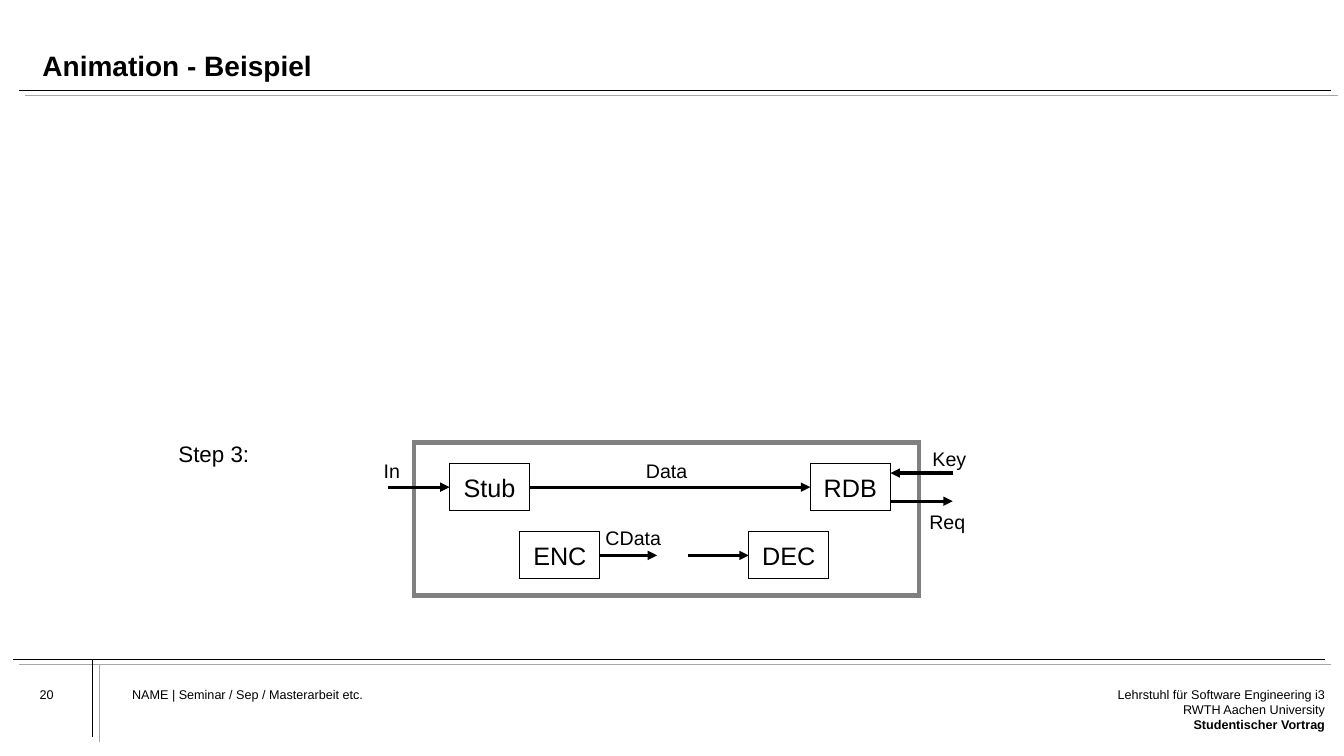
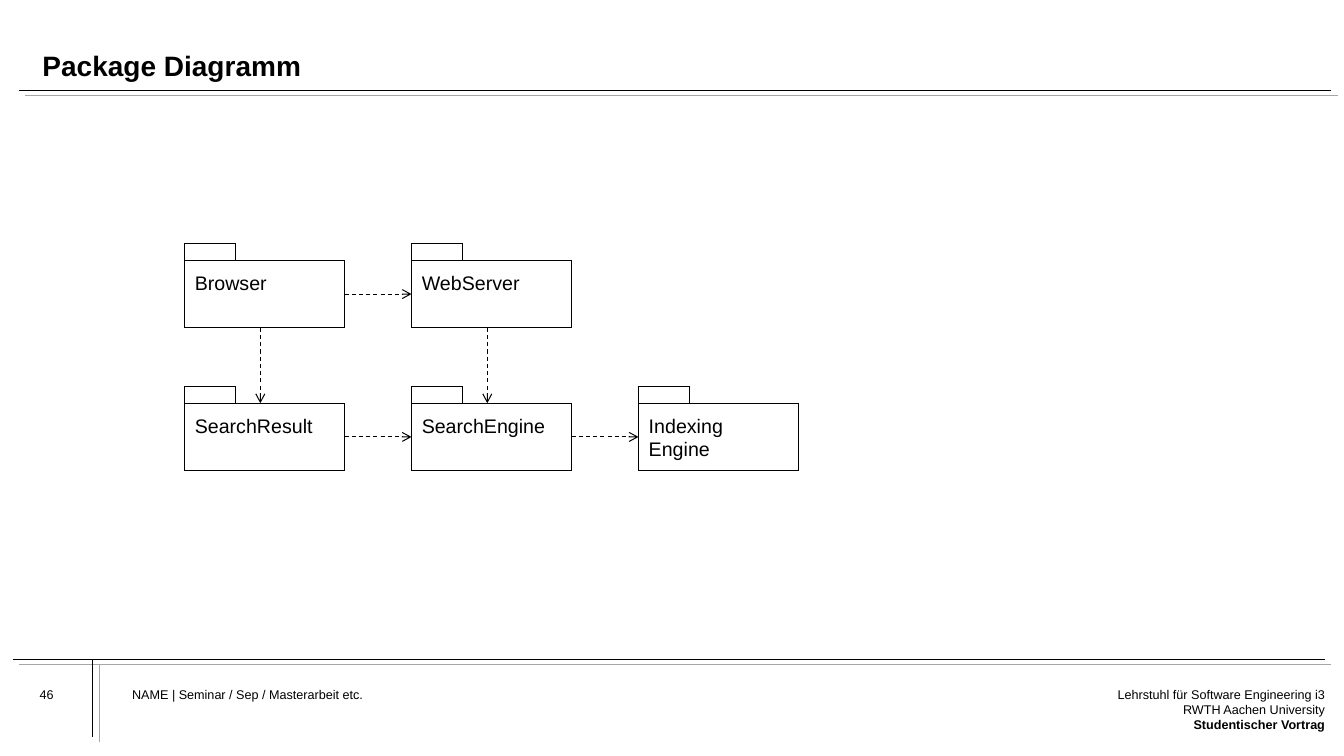
from lxml import etree
from pptx import Presentation
from pptx.dml.color import RGBColor
from pptx.enum.dml import MSO_LINE
from pptx.enum.shapes import MSO_CONNECTOR, MSO_SHAPE
from pptx.enum.text import MSO_ANCHOR, PP_ALIGN
from pptx.oxml.ns import qn
from pptx.util import Cm, Pt

COLORS = {"ink": "000000", "echo": "A6A6A6", "frame": "808080", "paper": "FFFFFF"}
FONT = "Arial"
LEFT, CENTER, RIGHT = PP_ALIGN.LEFT, PP_ALIGN.CENTER, PP_ALIGN.RIGHT
TOP, MIDDLE, BOTTOM = MSO_ANCHOR.TOP, MSO_ANCHOR.MIDDLE, MSO_ANCHOR.BOTTOM
RECTANGLE = MSO_SHAPE.RECTANGLE
STRAIGHT = MSO_CONNECTOR.STRAIGHT
DASH = MSO_LINE.DASH
SIDE_LEFT, SIDE_RIGHT = 1, 3

ECHO_OFFSET = (0.16, 0.13)
RULES = [
    ((0.48, 2.28), (33.55, 2.28)),
    ((0.33, 16.61), (33.38, 16.61)),
    ((2.34, 16.61), (2.34, 18.57)),
]
TITLE_BOX = (1.07, 0.58, 31.9, 1.5)
FOOTER_TOP = 17.3
NODE_SIZE = (2.02, 1.19)
PACKAGE_SIZE = (4.03, 1.7)
TAB_SIZE = (1.28, 0.42)
PACKAGE_PITCH = (5.72, 3.6)
PACKAGES = {
    "Browser": (0, 0),
    "WebServer": (1, 0),
    "SearchResult": (0, 1),
    "SearchEngine": (1, 1),
    "Indexing\nEngine": (2, 1),
}
ACROSS = [
    ("Browser", "WebServer"),
    ("SearchResult", "SearchEngine"),
    ("SearchEngine", "Indexing\nEngine"),
]


def color(name):
    return RGBColor.from_string(COLORS[name])


def lengths(values):
    return [Cm(value) for value in values]


def write(shape, text, size=14, bold_lines=(), align=LEFT, anchor=TOP,
          insets=(0, 0, 0, 0), spacing=None):
    frame = shape.text_frame
    frame.word_wrap = True
    frame.vertical_anchor = anchor
    (frame.margin_left, frame.margin_top,
     frame.margin_right, frame.margin_bottom) = lengths(insets)
    for index, line in enumerate(text.split("\n")):
        para = frame.add_paragraph() if index else frame.paragraphs[0]
        para.alignment = align
        if spacing:
            para.line_spacing = spacing
        span = para.add_run()
        span.text = line
        span.font.name = FONT
        span.font.size = Pt(size)
        span.font.bold = index in bold_lines
        span.font.color.rgb = color("ink")


def add_text(page, box, text, **style):
    shape = page.shapes.add_textbox(*lengths(box))
    write(shape, text, **style)
    return shape


def add_rectangle(page, box, fill="paper", line="ink", width=0.75):
    shape = page.shapes.add_shape(RECTANGLE, *lengths(box))
    shape.shadow.inherit = False
    if fill:
        shape.fill.solid()
        shape.fill.fore_color.rgb = color(fill)
    else:
        shape.fill.background()
    shape.line.color.rgb = color(line)
    shape.line.width = Pt(width)
    outline = shape._element.spPr.find(qn("a:ln"))
    etree.SubElement(outline, qn("a:miter"), lim="800000")
    return shape


def add_line(page, start, end, begin=None, finish=None, stroke="ink",
             width=0.5, dash=None, head=None):
    line = page.shapes.add_connector(STRAIGHT, *lengths(start + end))
    if begin:
        line.begin_connect(*begin)
    if finish:
        line.end_connect(*finish)
    line.line.color.rgb = color(stroke)
    line.line.width = Pt(width)
    if dash:
        line.line.dash_style = dash
    properties = line._element.spPr
    if head:
        etree.SubElement(properties.find(qn("a:ln")), qn("a:tailEnd"), type=head)
    etree.SubElement(properties, qn("a:effectLst"))
    return line


def add_page(deck, title, number):
    page = deck.slides.add_slide(deck.slide_layouts[6])
    shift_x, shift_y = ECHO_OFFSET
    for start, end in RULES:
        add_line(page, start, end)
        echo = [(x + shift_x, y + shift_y) for x, y in (start, end)]
        add_line(page, *echo, stroke="echo")
    add_text(page, TITLE_BOX, title, size=20, bold_lines=(0,), anchor=BOTTOM,
             spacing=0.9)
    add_text(page, (1, FOOTER_TOP, 2.03, 1.09), number, size=9)
    add_text(page, (3.33, FOOTER_TOP, 19.46, 1.75),
             "NAME | Seminar / Sep / Masterarbeit etc.", size=9)
    add_text(page, (27.39, FOOTER_TOP, 6, 1.75),
             "Lehrstuhl für Software Engineering i3\n"
             "RWTH Aachen University\nStudentischer Vortrag",
             size=9, bold_lines=(2,), align=RIGHT)
    return page


def add_step(page, box):
    left, top, width, height = box

    def at(x, y):
        return left + x, top + y

    def node(text, x, y):
        shape = add_rectangle(page, at(x, y) + NODE_SIZE)
        write(shape, text, size=18, align=CENTER, anchor=MIDDLE)
        return shape

    def arrow(start, end, **joins):
        add_line(page, start, end, width=2.25, head="triangle", **joins)

    add_rectangle(page, box, fill=None, line="frame", width=3)
    upper, lower = 0.53, 2.25
    stub = node("Stub", 0.89, upper)
    store = node("RDB", 9.98, upper)
    encoder = node("ENC", 2.66, lower)
    decoder = node("DEC", 8.43, lower)
    upper_middle = upper + NODE_SIZE[1] / 2
    lower_middle = lower + NODE_SIZE[1] / 2
    store_right = 9.98 + NODE_SIZE[0]
    outside = 13.57

    arrow(at(-0.66, upper_middle), at(0.89, upper_middle),
          finish=(stub, SIDE_LEFT))
    arrow(at(2.91, upper_middle), at(9.98, upper_middle),
          begin=(stub, SIDE_RIGHT), finish=(store, SIDE_LEFT))
    arrow(at(outside, 0.77), at(store_right, 0.77))
    arrow(at(store_right, 1.48), at(outside, 1.48))
    arrow(at(4.68, lower_middle), at(6.12, lower_middle),
          begin=(encoder, SIDE_RIGHT))
    arrow(at(6.91, lower_middle), at(8.43, lower_middle),
          finish=(decoder, SIDE_LEFT))

    for text, x, y, label_width, align, size in [
        ("In", -1.86, 0.41, 1.5, RIGHT, 14),
        ("Data", 5.36, 0.41, 2, CENTER, 14),
        ("Key", 13.06, 0.1, 1.5, LEFT, 14),
        ("Req", 12.98, 1.7, 1.5, LEFT, 14),
        ("CData", 4.82, 2.11, 2, LEFT, 14),
        ("Step 3:", -6.55, -0.05, 3, CENTER, 16),
    ]:
        add_text(page, at(x, y) + (label_width, 0.7), text, size=size,
                 align=align)


def add_package(page, left, top, text):
    add_rectangle(page, (left, top) + TAB_SIZE)
    body = add_rectangle(page, (left, top + TAB_SIZE[1]) + PACKAGE_SIZE)
    write(body, text, insets=(0.26, 0.26, 0.1, 0))
    return body


def add_package_diagram(page, left, top):
    pitch_x, pitch_y = PACKAGE_PITCH
    bodies = {
        text: add_package(page, left + column * pitch_x, top + row * pitch_y, text)
        for text, (column, row) in PACKAGES.items()
    }
    style = {"width": 0.75, "dash": DASH, "head": "arrow"}
    for source, target in ACROSS:
        add_line(page, (left, top), (left, top),
                 begin=(bodies[source], SIDE_RIGHT),
                 finish=(bodies[target], SIDE_LEFT), **style)
    body_top = top + TAB_SIZE[1]
    for column in range(2):
        x = left + column * pitch_x + 1.91
        add_line(page, (x, body_top + PACKAGE_SIZE[1]),
                 (x, body_top + pitch_y), **style)


def main():
    deck = Presentation()
    deck.slide_width, deck.slide_height = Cm(33.87), Cm(19.05)
    add_step(add_page(deck, "Animation - Beispiel", "20"),
             (10.44, 11.15, 12.73, 3.86))
    add_package_diagram(add_page(deck, "Package Diagramm", "46"), 4.65, 6.14)
    deck.save("out.pptx")


if __name__ == "__main__":
    main()
